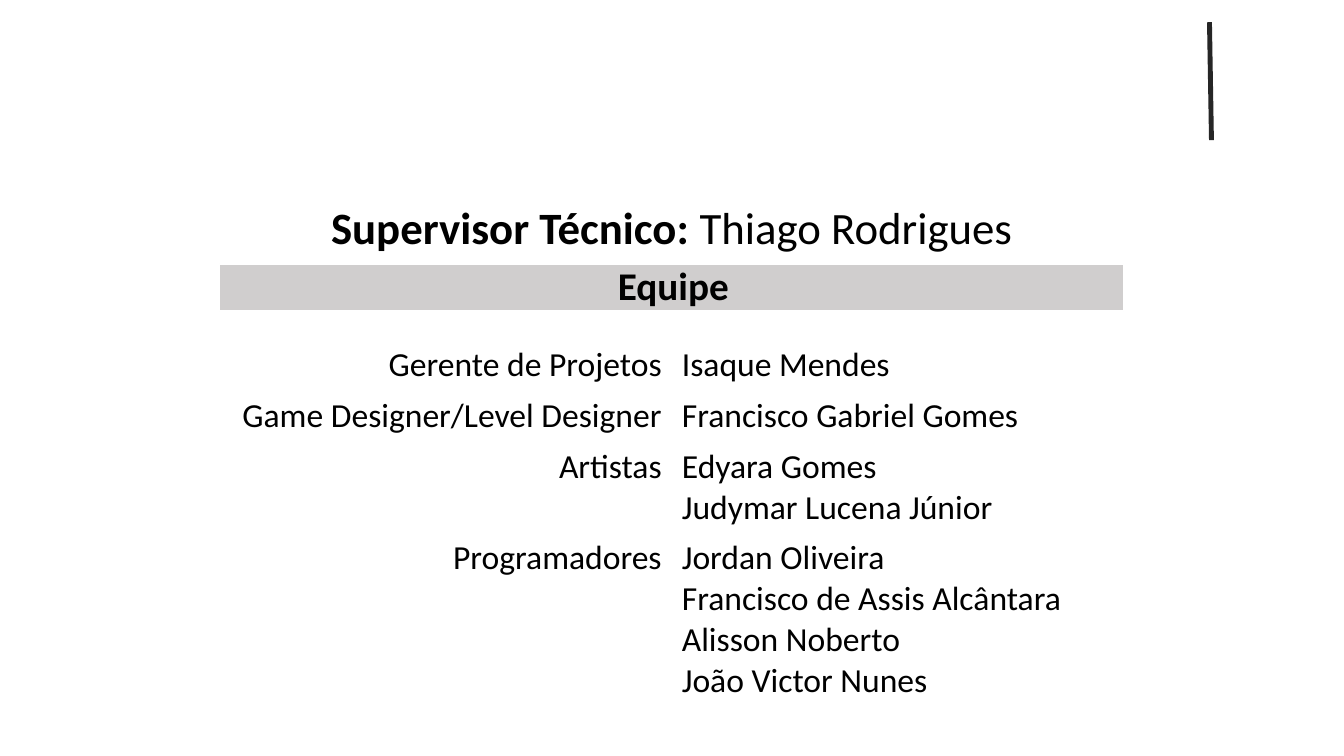
from pptx import Presentation
from pptx.dml.color import RGBColor
from pptx.enum.shapes import MSO_CONNECTOR as Link, MSO_SHAPE as Form
from pptx.enum.text import MSO_ANCHOR as Anchor, PP_ALIGN as Align
from pptx.oxml.ns import qn
from pptx.util import Cm, Pt
from lxml.etree import SubElement

BLACK, GREY, DARK, WHITE = "000000", "D0CECE", "262626", "FFFFFF"
LINE, PAD = 1.03, 0.25
TEAM = [
    ("Gerente de Projetos", ["Isaque Mendes"]),
    ("Game Designer/Level Designer", ["Francisco Gabriel Gomes"]),
    ("Artistas", ["Edyara Gomes", "Judymar Lucena Júnior"]),
    ("Programadores", ["Jordan Oliveira", "Francisco de Assis Alcântara",
                       "Alisson Noberto", "João Victor Nunes"]),
]


def color(code):
    """Turn a hex string into a colour."""
    return RGBColor.from_string(code)


def style(item, form):
    """Set each format value on an item."""
    for name, value in form.items():
        setattr(item, name, value)


def write(para, runs, size, align):
    """Fill a paragraph with (text, bold) runs."""
    para.alignment = align
    for text, bold in runs:
        run = para.add_run()
        run.text = text
        style(run.font, {"name": "Calibri", "size": Pt(size), "bold": bold})
        run.font.color.rgb = color(BLACK)


def label(slide, box, runs, size):
    """Add a centred line of text in the box."""
    frame = slide.shapes.add_textbox(*map(Cm, box)).text_frame
    style(frame, {"word_wrap": True, "vertical_anchor": Anchor.TOP})
    write(frame.paragraphs[0], runs, size, Align.CENTER)


def header(slide, box):
    """Place the supervisor line above the team bar."""
    left, top, width, height = box
    bar = slide.shapes.add_shape(
        Form.RECTANGLE, *map(Cm, (left, top + 1.75, width, height - 1.75)))
    bar.shadow.inherit = False
    bar.fill.solid()
    bar.fill.fore_color.rgb = color(GREY)
    bar.line.color.rgb = color(WHITE)
    bar.line.width = Pt(1)
    label(slide, (left + 7.6, top + 1.55, 7.66, 1.45), [("Equipe", True)], 28)
    label(slide, (left - 0.15, top, width + 0.3, 1.62),
          [("Supervisor Técnico: ", True), ("Thiago Rodrigues", False)], 32)


def accent(slide, box):
    """Draw the slanted stroke across the box."""
    left, top, width, height = box
    ends = map(Cm, (left, top, left + width, top + height))
    stroke = slide.shapes.add_connector(Link.STRAIGHT, *ends)
    stroke.line.color.rgb = color(DARK)
    stroke.line.width = Pt(3.5)
    SubElement(stroke._element.spPr, qn("a:effectLst"))


def roster(slide, box):
    """List roles and people in a plain table."""
    table = slide.shapes.add_table(len(TEAM), 2, *map(Cm, box)).table
    style(table, {"first_row": False, "horz_banding": False})
    for row, (role, people) in enumerate(TEAM):
        table.rows[row].height = Cm(len(people) * LINE + PAD)
        sides = ([role], Align.RIGHT), (people, Align.LEFT)
        for col, (lines, align) in enumerate(sides):
            cell = table.cell(row, col)
            cell.fill.background()
            frame = cell.text_frame
            for spot, text in enumerate(lines):
                para = frame.add_paragraph() if spot else frame.paragraphs[0]
                write(para, [(text, False)], 24, align)


deck = Presentation()
style(deck, {"slide_width": Cm(33.87), "slide_height": Cm(19.05)})
page = deck.slides.add_slide(deck.slide_layouts[6])
header(page, (5.54, 4.9, 22.78, 2.94))
accent(page, (30.48, 0.56, 0.05, 2.97))
roster(page, (5.64, 8.56, 22.58, 9.14))
deck.save("out.pptx")
